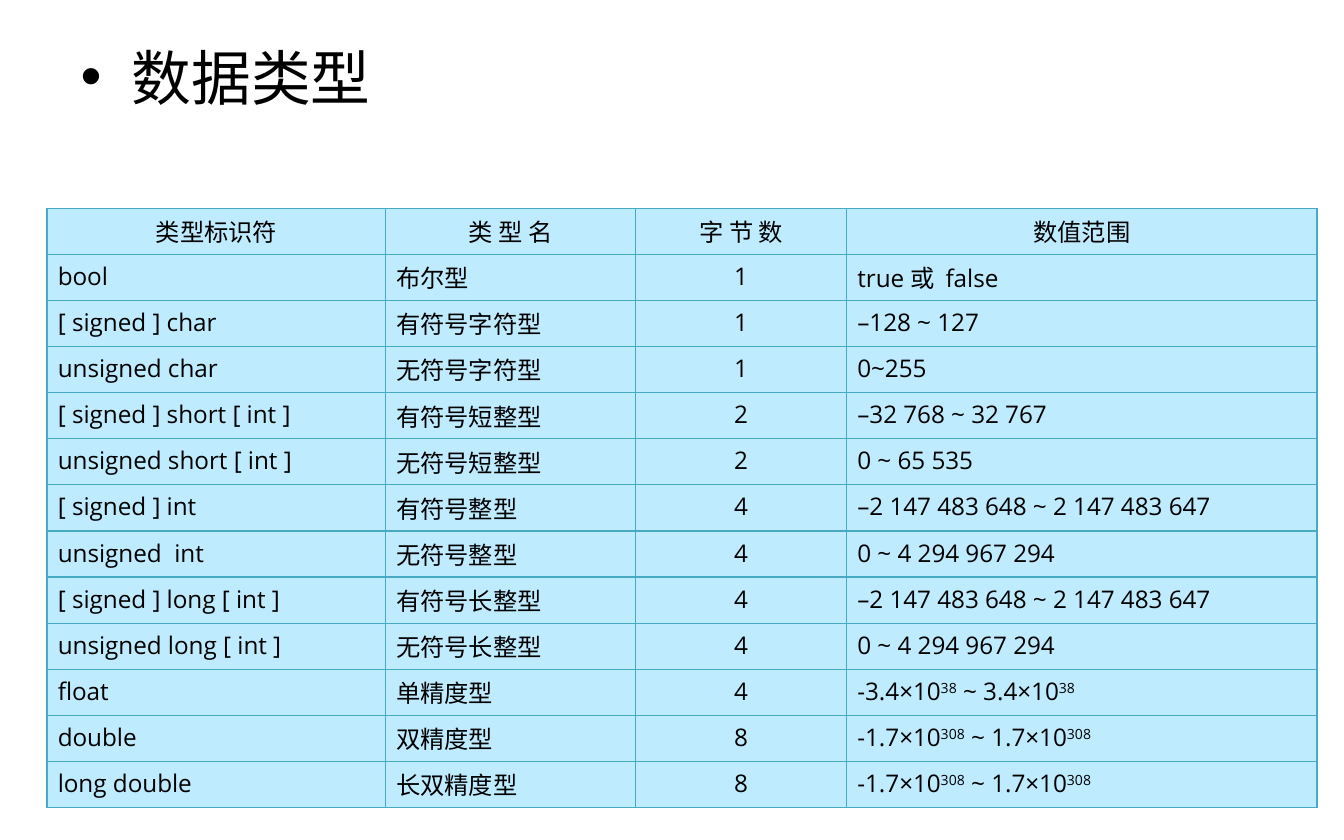
from lxml import etree
from pptx import Presentation
from pptx.dml.color import RGBColor
from pptx.enum.text import MSO_ANCHOR, MSO_AUTO_SIZE, PP_ALIGN
from pptx.oxml.ns import qn
from pptx.util import Inches, Pt

LEFT, CENTER = PP_ALIGN.LEFT, PP_ALIGN.CENTER
TOP, NO_FIT = MSO_ANCHOR.TOP, MSO_AUTO_SIZE.NONE
TITLE_ONLY = 5
COLORS = {"text": "000000", "cell": "BFEBFF", "border": "46AAC5"}
COLUMN_WIDTHS = (2.52, 1.86, 1.57, 3.5)
ROW_HEIGHT = 0.343
CELL_FORMAT = {
    "margin_left": Inches(0.08),
    "margin_right": Inches(0.08),
    "margin_top": Inches(0.04),
    "margin_bottom": Inches(0.04),
    "vertical_anchor": TOP,
}
TITLE_FORMAT = {"word_wrap": True, "auto_size": NO_FIT, "vertical_anchor": TOP}
HEADERS = ("类型标识符", "类 型 名", "字 节 数", "数值范围")
DATA_TYPES = (
    ("bool", "布尔型", "1", "true 或  false"),
    ("[ signed ] char", "有符号字符型", "1", "–128 ~ 127"),
    ("unsigned char", "无符号字符型", "1", "0~255"),
    ("[ signed ] short [ int ]", "有符号短整型", "2", "–32 768 ~ 32 767"),
    ("unsigned short [ int ]", "无符号短整型", "2", "0 ~ 65 535"),
    ("[ signed ] int", "有符号整型", "4", "–2 147 483 648 ~ 2 147 483 647"),
    ("unsigned  int", "无符号整型", "4", "0 ~ 4 294 967 294"),
    ("[ signed ] long [ int ]", "有符号长整型", "4", "–2 147 483 648 ~ 2 147 483 647"),
    ("unsigned long [ int ]", "无符号长整型", "4", "0 ~ 4 294 967 294"),
    ("float", "单精度型", "4", "-3.4×10^38^ ~ 3.4×10^38^"),
    ("double", "双精度型", "8", "-1.7×10^308^ ~ 1.7×10^308^"),
    ("long double", "长双精度型", "8", "-1.7×10^308^ ~ 1.7×10^308^"),
)


def set_format(target, values):
    """Set each attribute named in values on the target."""
    for name, value in values.items():
        setattr(target, name, value)


def add_text(paragraph, text, font_name, size, alignment):
    """Write text into a paragraph, raising the parts between carets."""
    paragraph.alignment = alignment
    for index, part in enumerate(text.split("^")):
        if not part:
            continue
        run = paragraph.add_run()
        run.text = part
        set_format(run.font, {"name": font_name, "size": Pt(size), "bold": False})
        run.font.color.rgb = RGBColor.from_string(COLORS["text"])
        if index % 2:
            run.font._element.set("baseline", "30000")


def add_borders(cell):
    """Draw a thin line on all four sides of a cell."""
    properties = cell._tc.get_or_add_tcPr()
    for position, side in enumerate(("lnL", "lnR", "lnT", "lnB")):
        line = etree.Element(qn(f"a:{side}"), w=str(Pt(0.75)))
        fill = etree.SubElement(line, qn("a:solidFill"))
        etree.SubElement(fill, qn("a:srgbClr"), val=COLORS["border"])
        properties.insert(position, line)


def place_title(slide, box, text):
    """Place the bulleted title in its box."""
    title = slide.shapes.title
    set_format(title, dict(zip(("left", "top", "width", "height"), map(Inches, box))))
    set_format(title.text_frame, TITLE_FORMAT)
    paragraph = title.text_frame.paragraphs[0]
    add_text(paragraph, text, "Calibri", 32, LEFT)
    properties = paragraph._p.get_or_add_pPr()
    properties.set("marL", str(Inches(0.38)))
    properties.set("indent", str(-Inches(0.38)))
    etree.SubElement(properties, qn("a:buFont"), typeface="Arial")
    etree.SubElement(properties, qn("a:buChar"), char="•")


def place_type_table(slide, left, top):
    """Place the table of data types with its top left corner at a point."""
    rows = (HEADERS, *DATA_TYPES)
    size = (sum(COLUMN_WIDTHS), ROW_HEIGHT * len(rows))
    frame = slide.shapes.add_table(
        len(rows), len(HEADERS), *map(Inches, (left, top, *size))
    )
    table = frame.table
    set_format(table, {"first_row": False, "horz_banding": False})
    for column, width in zip(table.columns, COLUMN_WIDTHS):
        column.width = Inches(width)
    for row_index, texts in enumerate(rows):
        table.rows[row_index].height = Inches(ROW_HEIGHT)
        for column_index, text in enumerate(texts):
            cell = table.cell(row_index, column_index)
            set_format(cell, CELL_FORMAT)
            cell.fill.solid()
            cell.fill.fore_color.rgb = RGBColor.from_string(COLORS["cell"])
            add_borders(cell)
            centered = row_index == 0 or column_index == 2
            paragraph = cell.text_frame.paragraphs[0]
            add_text(paragraph, text, "Open Sans", 13, CENTER if centered else LEFT)


def build():
    """Build the slide and save the presentation."""
    presentation = Presentation()
    set_format(
        presentation, {"slide_width": Inches(10), "slide_height": Inches(6.25)}
    )
    slide = presentation.slides.add_slide(presentation.slide_layouts[TITLE_ONLY])
    place_title(slide, (0.5, 0.25, 9, 1.04), "数据类型")
    place_type_table(slide, 0.35, 1.55)
    presentation.save("out.pptx")


build()
